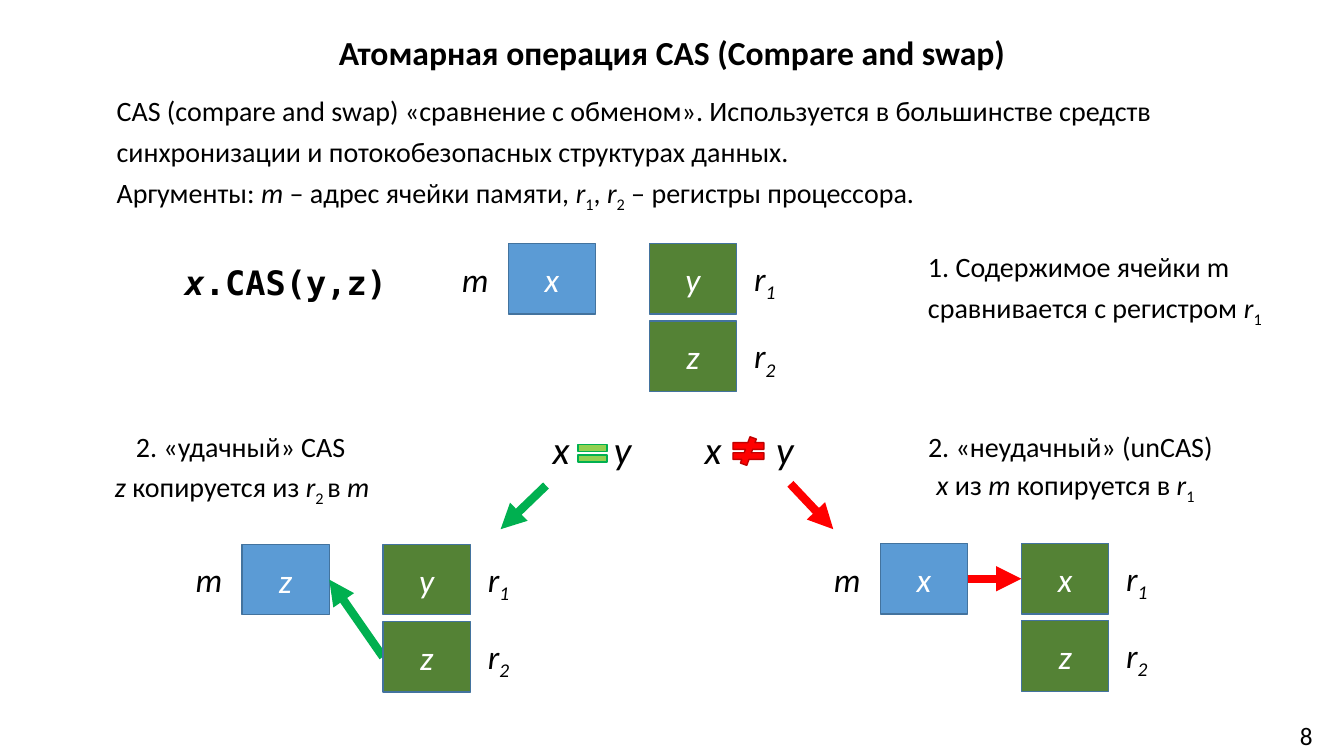
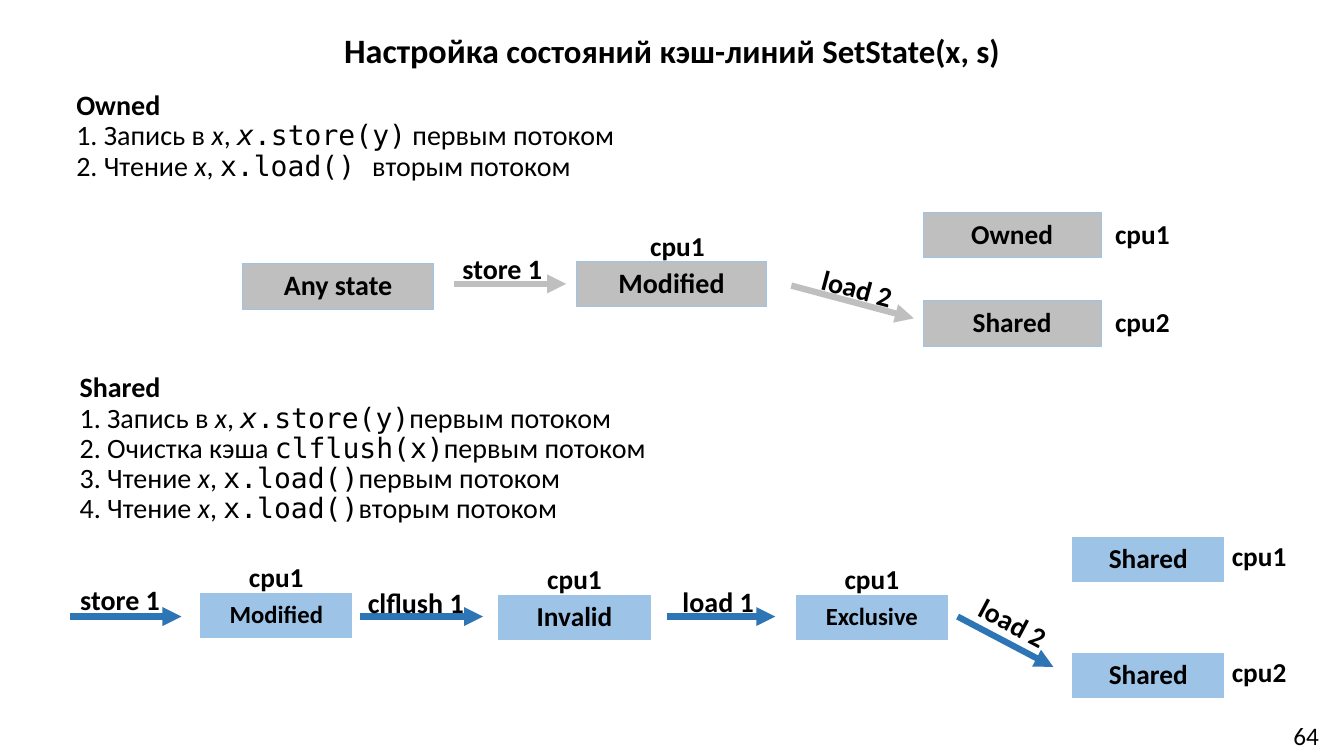
from dataclasses import dataclass
from typing import Any, NamedTuple, Optional

import lxml.etree
import pptx
import pptx.dml.color
import pptx.enum.shapes
import pptx.enum.text
import pptx.oxml.ns
import pptx.util

SHAPES = pptx.enum.shapes.MSO_SHAPE
ALIGN = pptx.enum.text.PP_ALIGN
ANCHOR = pptx.enum.text.MSO_ANCHOR
qualified = pptx.oxml.ns.qn

# The slide is a grid of 160 columns by 90 rows; every length is in grid cells.
COLUMNS, ROWS = 160, 90
SLIDE_WIDTH, SLIDE_HEIGHT = pptx.util.Inches(13.33), pptx.util.Inches(7.5)
TITLE_ONLY = 5


@dataclass(frozen=True)
class Theme:
    font: str = "Calibri"
    code_font: str = "DejaVu Sans Mono"
    text: str = "000000"
    light_text: str = "FFFFFF"
    memory: str = "5B9BD5"
    register: str = "548235"
    cell_border: str = "43739E"
    success: str = "00B050"
    success_fill: str = "92D050"
    failure: str = "FF0000"
    failure_border: str = "C00000"
    gray: str = "BFBFBF"
    pale_blue: str = "9DC3E6"
    blue: str = "2E75B6"
    title_size: float = 24
    body_size: float = 20
    cell_size: float = 24
    compare_size: float = 28
    state_size: float = 19.5
    small_state_size: float = 17.6
    number_size: float = 18


THEME = Theme()


class Box(NamedTuple):
    left: float
    top: float
    width: float
    height: float


class Point(NamedTuple):
    x: float
    y: float


class Span(NamedTuple):
    text: str
    italic: bool = False
    bold: bool = False
    code: bool = False
    subscript: bool = False
    size: Optional[float] = None


@dataclass(frozen=True)
class Style:
    size: float = THEME.body_size
    color: str = THEME.text
    align: Any = ALIGN.LEFT
    anchor: Any = ANCHOR.TOP
    spacing: float = 1.0
    wrap: bool = True
    tab: Optional[float] = None


@dataclass(frozen=True)
class State:
    text: str
    box: Box
    size: float = THEME.state_size
    cpu: str = ""
    cpu_offset: Point = Point(0, 0)


@dataclass(frozen=True)
class Step:
    text: str
    start: Point
    end: Point
    label: Point
    turn: float = 0


Line = list[Span]
PROSE = Style(spacing=1.2)
LABEL = Style(spacing=1.2, wrap=False)
LISTING = Style(spacing=0.9)
CELL_LABEL = Style(size=THEME.cell_size, wrap=False)


def italic(text: str) -> Span:
    return Span(text, italic=True)


def subscript(text: str) -> Span:
    return Span(text, subscript=True)


def code(text: str) -> Span:
    return Span(text, code=True)


def across(cells: float) -> int:
    return round(SLIDE_WIDTH * cells / COLUMNS)


def down(cells: float) -> int:
    return round(SLIDE_HEIGHT * cells / ROWS)


def place(box: Box) -> tuple[int, int, int, int]:
    return across(box.left), down(box.top), across(box.width), down(box.height)


def rgb(value: str) -> pptx.dml.color.RGBColor:
    return pptx.dml.color.RGBColor.from_string(value)


def write(shape: Any, lines: list[Line], style: Style) -> None:
    """Fill a shape's text frame, run by run."""
    frame = shape.text_frame
    frame.auto_size = pptx.enum.text.MSO_AUTO_SIZE.NONE
    frame.word_wrap = style.wrap
    frame.vertical_anchor = style.anchor
    for index, line in enumerate(lines):
        paragraph = frame.add_paragraph() if index else frame.paragraphs[0]
        if style.tab:
            properties = paragraph._p.get_or_add_pPr()
            stops = lxml.etree.SubElement(properties, qualified("a:tabLst"))
            lxml.etree.SubElement(stops, qualified("a:tab"), pos=str(across(style.tab)), algn="l")
        paragraph.alignment = style.align
        paragraph.line_spacing = style.spacing
        paragraph.space_before = pptx.util.Pt(0)
        for span in line:
            run = paragraph.add_run()
            run.text = span.text
            run.font.name = THEME.code_font if span.code else THEME.font
            run.font.size = pptx.util.Pt(span.size or style.size)
            run.font.color.rgb = rgb(style.color)
            run.font.bold = span.bold
            run.font.italic = span.italic
            if span.subscript:
                run._r.get_or_add_rPr().set("baseline", "-25000")


def add_text(slide: Any, box: Box, lines: list[Line], style: Style) -> Any:
    shape = slide.shapes.add_textbox(*place(box))
    write(shape, lines, style)
    return shape


def add_shape(slide: Any, kind: Any, box: Box, fill: str, border: str, width: float = 1) -> Any:
    shape = slide.shapes.add_shape(kind, *place(box))
    shape.shadow.inherit = False
    shape.fill.solid()
    shape.fill.fore_color.rgb = rgb(fill)
    shape.line.color.rgb = rgb(border)
    shape.line.width = pptx.util.Pt(width)
    return shape


def add_arrow(slide: Any, start: Point, end: Point, color: str, width: float) -> None:
    connector = slide.shapes.add_connector(
        pptx.enum.shapes.MSO_CONNECTOR.STRAIGHT,
        across(start.x), down(start.y), across(end.x), down(end.y))
    connector.line.color.rgb = rgb(color)
    connector.line.width = pptx.util.Pt(width)
    properties = connector._element.spPr
    lxml.etree.SubElement(properties.find(qualified("a:ln")), qualified("a:tailEnd"), type="triangle")
    lxml.etree.SubElement(properties, qualified("a:effectLst"))


def add_slide(presentation: Any, title: Line, top: float, number: str) -> Any:
    """Title-only slide with the shared title style and page number."""
    slide = presentation.slides.add_slide(presentation.slide_layouts[TITLE_ONLY])
    heading = slide.shapes.title
    heading.left, heading.top, heading.width, heading.height = place(Box(0, top, COLUMNS, 5.6))
    write(heading, [title], Style(size=THEME.title_size, align=ALIGN.CENTER, spacing=0.9))
    add_text(slide, Box(151, 84.8, 9, 5.4), [[Span(number)]],
             Style(size=THEME.number_size, align=ALIGN.CENTER, anchor=ANCHOR.MIDDLE))
    return slide


# Slide 1: memory cell beside two registers
CELL_WIDTH, CELL_HEIGHT = 10.4, 8.4
REGISTER_LEFT, REGISTER_STEP = 16.8, 9.2


def add_cell(slide: Any, left: float, top: float, text: str, fill: str) -> None:
    shape = add_shape(slide, SHAPES.RECTANGLE, Box(left, top, CELL_WIDTH, CELL_HEIGHT),
                      fill, THEME.cell_border)
    write(shape, [[italic(text)]], Style(size=THEME.cell_size, color=THEME.light_text,
                                         align=ALIGN.CENTER, anchor=ANCHOR.MIDDLE))


def add_memory(slide: Any, left: float, top: float, memory: str, registers: str,
               arrow: Optional[tuple[Point, Point, str]] = None) -> None:
    """Arrow ends are measured from the corner of the memory cell."""
    add_cell(slide, left, top, memory, THEME.memory)
    add_text(slide, Box(left - 6.7, top + 1.2, 5.4, 5.9), [[italic("m")]], CELL_LABEL)
    if arrow:
        start, end, color = arrow
        add_arrow(slide, Point(left + start.x, top + start.y),
                  Point(left + end.x, top + end.y), color, 6)
    for index, value in enumerate(registers):
        row = top + index * REGISTER_STEP
        add_cell(slide, left + REGISTER_LEFT, row, value, THEME.register)
        name = [italic("r"), Span(str(index + 1), italic=True, subscript=True)]
        add_text(slide, Box(left + 28.1, row + 1.1, 5, 5.9), [name], CELL_LABEL)


def build_cas(presentation: Any) -> None:
    slide = add_slide(presentation, [Span("Атомарная операция CAS (Compare and swap)", bold=True)],
                      3.7, "8")
    add_text(slide, Box(12.7, 9.8, 138.5, 15.8), [
        [Span("CAS (compare and swap) «сравнение с обменом». Используется в большинстве "
              "средств синхронизации и потокобезопасных структурах данных.")],
        [Span("Аргументы: "), italic("m"), Span(" – адрес ячейки памяти, "), italic("r"),
         subscript("1"), Span(", "), italic("r"), subscript("2"),
         Span(" – регистры процессора.")]], PROSE)
    add_text(slide, Box(20.8, 29.6, 28.3, 10),
             [[Span("x", bold=True, italic=True, code=True),
               Span(".CAS(y,z)", bold=True, code=True)]],
             Style(size=THEME.cell_size, spacing=1.2))
    add_text(slide, Box(109.3, 28.3, 44.4, 10.6),
             [[Span("1. Содержимое ячейки m сравнивается с регистром "),
               italic("r"), subscript("1")]], PROSE)

    # Outcomes of the comparison
    add_text(slide, Box(15, 49.7, 27.6, 5.8), [[Span("2. «удачный» CAS")]], LABEL)
    add_text(slide, Box(12.5, 54.4, 46.4, 10),
             [[italic("z "), Span("копируется из "), italic("r"), subscript("2 "),
               Span("в "), italic("m")]], PROSE)
    add_text(slide, Box(109.3, 49.7, 36.6, 5.8), [[Span("2. «неудачный» (unCAS)")]], LABEL)
    add_text(slide, Box(110.3, 54.1, 45.8, 10),
             [[italic("х "), Span("из "), italic("m "), Span("копируется в "),
               italic("r"), subscript("1")]], PROSE)
    for left, tab in ((64.6, 7.3), (82.7, 8.5)):
        add_text(slide, Box(left, 50, 14, 6.8), [[italic("x\ty")]],
                 Style(size=THEME.compare_size, tab=tab))
    add_shape(slide, SHAPES.MATH_EQUAL, Box(68.2, 52.2, 4.7, 3.5),
              THEME.success_fill, THEME.success)
    add_shape(slide, SHAPES.MATH_NOT_EQUAL, Box(86.6, 52, 5, 3.4),
              THEME.failure, THEME.failure_border)
    add_arrow(slide, Point(65, 57.8), Point(59.6, 63), THEME.success, 6)
    add_arrow(slide, Point(94.1, 57.6), Point(99.2, 63), THEME.failure, 6)

    # Memory before and after
    middle = CELL_HEIGHT / 2
    memory_side = Point(CELL_WIDTH, middle)
    add_memory(slide, 60.5, 29, "x", "yz")
    add_memory(slide, 28.8, 64.8, "z", "yz",
               (Point(REGISTER_LEFT, REGISTER_STEP + middle), memory_side, THEME.success))
    add_memory(slide, 104.8, 64.7, "x", "xz",
               (memory_side, Point(REGISTER_LEFT, middle), THEME.failure))


# Slide 2: chains of cache-line states
def add_caption(slide: Any, center: Point, text: str, size: float, turn: float = 0) -> None:
    width, height = 17, 5
    shape = add_text(slide, Box(center.x - width / 2, center.y - height / 2, width, height),
                     [[Span(text, bold=True)]],
                     Style(size=size, align=ALIGN.CENTER, anchor=ANCHOR.MIDDLE, spacing=0.9))
    shape.rotation = turn


def add_chain(slide: Any, steps: list[Step], states: list[State], fill: str, arrow: str) -> None:
    for step in steps:
        add_arrow(slide, step.start, step.end, arrow, 4.5)
        add_caption(slide, step.label, step.text, THEME.body_size, step.turn)
    for state in states:
        box = state.box
        shape = add_shape(slide, SHAPES.RECTANGLE, box, fill, THEME.pale_blue, 0.75)
        write(shape, [[Span(state.text, bold=True)]],
              Style(size=state.size, align=ALIGN.CENTER, anchor=ANCHOR.MIDDLE, spacing=0.9))
        if state.cpu:
            center = Point(box.left + box.width / 2 + state.cpu_offset.x,
                           box.top + box.height / 2 + state.cpu_offset.y)
            add_caption(slide, center, state.cpu, THEME.state_size)


def store_line(ending: str) -> Line:
    return [Span("1. Запись в "), italic("x"), Span(", "),
            Span("x", italic=True, code=True), code(".store(y)"), Span(ending)]


def load_line(number: int, call: str, ending: str) -> Line:
    return [Span(f"{number}. Чтение "), italic("x"), Span(", "), code(call), Span(ending)]


def build_states(presentation: Any) -> None:
    slide = add_slide(presentation, [
        Span("Настройка", bold=True, size=24.4),
        Span(" состояний кэш-линий SetState(x, s)", bold=True, size=23.4)], 3.5, "64")
    first, second = "первым потоком", "вторым потоком"
    add_text(slide, Box(7.9, 10.3, 86.2, 14), [
        [Span("Owned", bold=True)], store_line(" " + first),
        load_line(2, "x.load() ", second)], LISTING)
    add_text(slide, Box(8.3, 43.9, 90.7, 22.4), [
        [Span("Shared", bold=True)], store_line(first),
        [Span("2. Очистка кэша "), code("clflush(x)"), Span(first)],
        load_line(3, "x.load()", first), load_line(4, "x.load()", second)], LISTING)

    beside = Point(15.5, 0)
    add_chain(slide, [
        Step("store 1", Point(54, 33.8), Point(67.4, 33.8), Point(59.8, 32.2)),
        Step("load 2", Point(94.2, 34), Point(108.8, 37.9), Point(102, 34.5), 15),
    ], [
        State("Any state", Box(28.9, 31.4, 22.7, 5.4), THEME.body_size),
        State("Modified", Box(68.6, 31.1, 22.7, 5.4), THEME.body_size, "cpu1", Point(0.7, -4.3)),
        State("Owned", Box(109.9, 25.3, 21.2, 5.4), cpu="cpu1", cpu_offset=beside),
        State("Shared", Box(109.9, 35.8, 21.2, 5.4), cpu="cpu2", cpu_offset=beside),
    ], THEME.gray, THEME.gray)

    above, beside = Point(0, -4.4), Point(13.2, -0.2)
    add_chain(slide, [
        Step("store 1", Point(8.3, 73.4), Point(21.6, 73.4), Point(14.3, 71.6)),
        Step("clflush 1", Point(42.9, 73.4), Point(57.5, 73.4), Point(49.5, 71.9)),
        Step("load 1", Point(79.4, 73.4), Point(92.3, 73.4), Point(85.5, 71.8)),
        Step("load 2", Point(114, 73.4), Point(125.4, 79.4), Point(120.5, 74.3), 28),
    ], [
        State("Modified", Box(23.9, 70.7, 18, 5.2), THEME.small_state_size, "cpu1", above),
        State("Invalid", Box(59.4, 70.9, 18, 5.2), cpu="cpu1", cpu_offset=above),
        State("Exclusive", Box(94.8, 70.9, 18, 5.2), THEME.small_state_size, "cpu1", above),
        State("Shared", Box(127.7, 64, 18, 5.2), cpu="cpu1", cpu_offset=beside),
        State("Shared", Box(127.7, 77.8, 18, 5.2), cpu="cpu2", cpu_offset=beside),
    ], THEME.pale_blue, THEME.blue)


def main() -> None:
    presentation = pptx.Presentation()
    presentation.slide_width, presentation.slide_height = SLIDE_WIDTH, SLIDE_HEIGHT
    build_cas(presentation)
    build_states(presentation)
    presentation.save("out.pptx")


if __name__ == "__main__":
    main()
